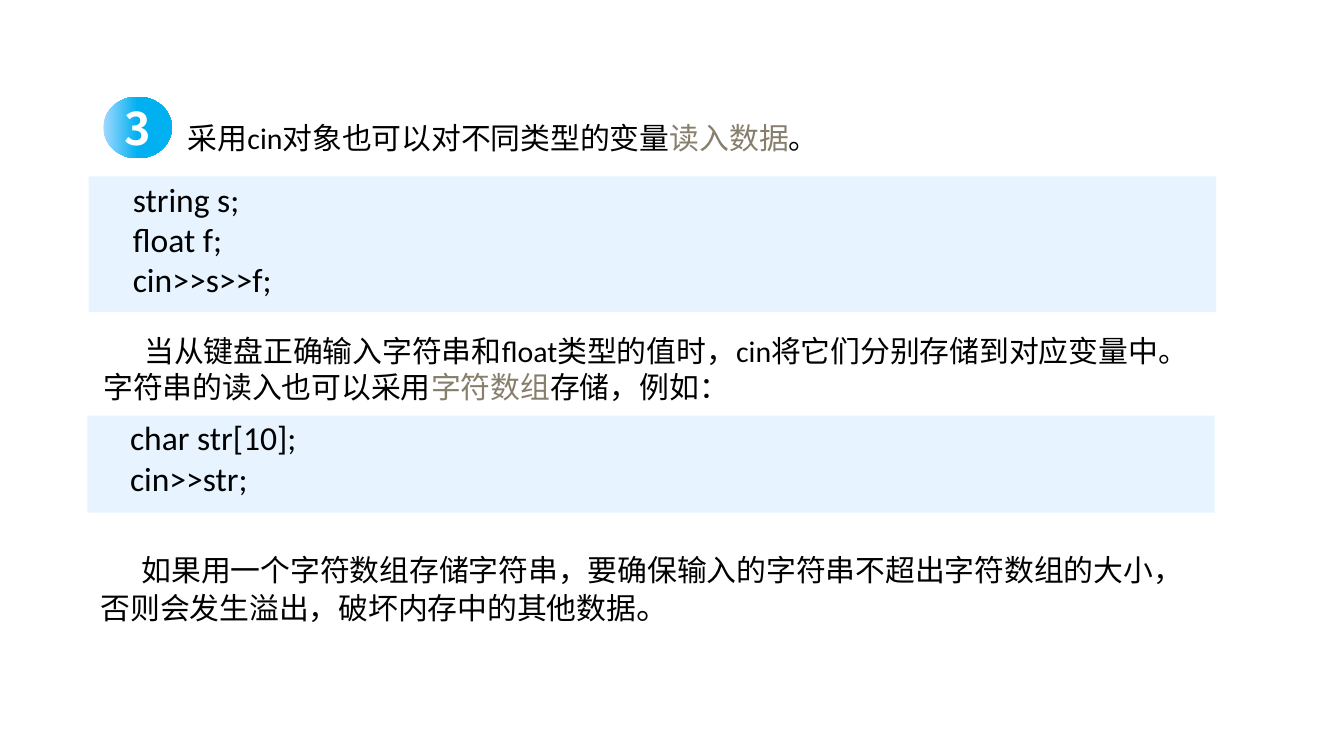
from pptx import Presentation
from pptx.dml.color import RGBColor as RGB
from pptx.enum.shapes import MSO_SHAPE as Shape
from pptx.enum.text import MSO_ANCHOR as Anchor, PP_ALIGN as Align
from pptx.oxml.ns import qn
from pptx.util import Pt
from lxml.etree import SubElement

BLACK = RGB(0x00, 0x00, 0x00)
WHITE = RGB(0xFF, 0xFF, 0xFF)
TAUPE = RGB(0x87, 0x7F, 0x6C)
PALE = RGB(0xE7, 0xF4, 0xFF)
SKY = RGB(0x9F, 0xD8, 0xFF)
BLUE = RGB(0x00, 0xB0, 0xF0)


class Page:
    latin = "Calibri"
    han = "Noto Sans CJK SC"
    body = 16
    code = 18

    def __init__(self, slide):
        self.slide = slide

    def shape(self, kind, *area):
        item = self.slide.shapes.add_shape(kind, *map(Pt, area))
        item.shadow.inherit = False
        item.line.fill.background()
        return item

    def band(self, *area):
        fill = self.shape(Shape.RECTANGLE, *area).fill
        fill.solid()
        fill.fore_color.rgb = PALE

    def run(self, para, text, size, color=BLACK, latin=None):
        run = para.add_run()
        run.text = text
        font = run.font
        font.size = Pt(size)
        font.color.rgb = color
        font.name = latin or self.latin
        SubElement(font._element, qn("a:ea")).set("typeface", self.han)
        return run

    def badge(self, text, *area):
        item = self.shape(Shape.OVAL, *area)
        item.fill.gradient()
        item.fill.gradient_angle = 0
        stops = item.fill.gradient_stops
        for stop, color, place in zip(stops, (SKY, BLUE), (0, 0.5)):
            stop.color.rgb = color
            stop.position = place
        frame = item.text_frame
        frame.margin_left = frame.margin_right = 0
        frame.margin_top = frame.margin_bottom = 0
        frame.vertical_anchor = Anchor.MIDDLE
        para = frame.paragraphs[0]
        para.alignment = Align.CENTER
        self.run(para, text, 24, WHITE, self.han).font.bold = True

    def box(self, *area):
        frame = self.slide.shapes.add_textbox(*map(Pt, area)).text_frame
        frame.word_wrap = True
        return frame

    def prose(self, area, parts, indent=22, pitch=19.5):
        para = self.box(*area).paragraphs[0]
        para.line_spacing = Pt(pitch)
        para._p.get_or_add_pPr().set("indent", str(Pt(indent)))
        for text, size, color in parts:
            self.run(para, text, size, color)

    def lines(self, area, rows):
        frame = self.box(*area)
        for i, row in enumerate(rows):
            para = frame.add_paragraph() if i else frame.paragraphs[0]
            self.run(para, row, self.code)


def main():
    deck = Presentation()
    deck.slide_width, deck.slide_height = Pt(720), Pt(405)
    page = Page(deck.slides.add_slide(deck.slide_layouts[6]))
    body = page.body

    page.band(46.8, 222.7, 604, 52)
    page.band(47.5, 94.5, 604, 72.7)
    page.prose((93.6, 60.5, 379.5, 26.6), [
        ("采用cin对象也可以对不同类型的变量", body, BLACK),
        ("读入数据", body, TAUPE),
        ("。", body, BLACK),
    ], indent=0)
    page.lines((64.1, 92.2, 360, 72.7),
               ["string s;", "float f;", "cin>>s>>f;"])
    page.prose((48.3, 174.3, 601.2, 46), [
        ("当从键盘正确输入字符串和float类型的值时，cin将它们分别存储到"
         "对应变量中。字符串的读入也可以采用", body, BLACK),
        ("字符数组", body, TAUPE),
        ("存储，例如：", body, BLACK),
    ])
    page.lines((62.6, 219.9, 360, 51), ["char str[10];", "cin>>str;"])
    page.prose((46.8, 290, 579, 48.2), [
        ("如果用一个字符数组存储字符串，要确保输入的字符串不超出字符数组的"
         "大小，否则会发生溢出，破坏内存中的其他数据", body, BLACK),
        ("。", page.code, BLACK),
    ], pitch=21)
    page.badge("3", 55.4, 51.8, 36.7, 33.1)
    deck.save("out.pptx")


if __name__ == "__main__":
    main()
